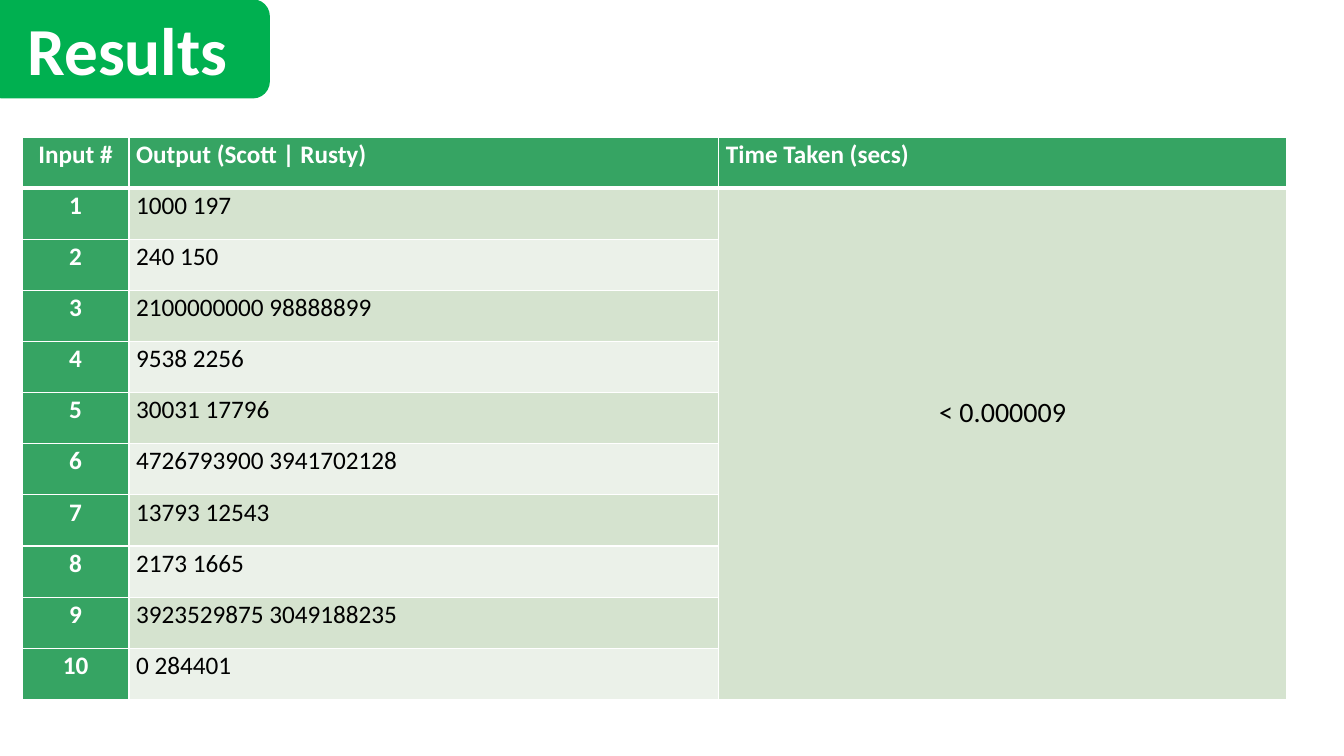
from lxml import etree
from pptx import Presentation
from pptx import util as u
from pptx.dml.color import RGBColor
from pptx.enum import shapes, text
from pptx.oxml.ns import qn

COLORS = {"white": "FFFFFF", "black": "000000", "title": "00B050",
          "header": "36A463", "dark_band": "D5E3CF", "light_band": "EBF1E9"}
HEADERS = ["Input #", "Output (Scott | Rusty)", "Time Taken (secs)"]
OUTPUTS = ["1000 197", "240 150", "2100000000 98888899", "9538 2256",
           "30031 17796", "4726793900 3941702128", "13793 12543",
           "2173 1665", "3923529875 3049188235", "0 284401"]
TIME_TAKEN = "< 0.000009"
COLUMN_WIDTHS = [1.06, 5.85, 5.63]


def rgb(name):
    return RGBColor.from_string(COLORS[name])


def write(tf, content, size=18, color="black", bold=False, align="LEFT", spacing=1.0):
    p = tf.paragraphs[0]
    p.alignment = getattr(text.PP_ALIGN, align)
    p.line_spacing = spacing
    r = p.add_run()
    r.text = content
    r.font.name = "Calibri"
    r.font.size = u.Pt(size)
    r.font.bold = bold
    r.font.color.rgb = rgb(color)


def set_borders(cell, **widths):
    """Draw white cell borders, 1 pt unless a side (L, R, T, B) is given a width."""
    tc_pr = cell._tc.get_or_add_tcPr()
    for i, side in enumerate("LRTB"):
        ln = etree.Element(qn("a:ln" + side), w=str(u.Pt(widths.get(side, 1))))
        fill = etree.SubElement(ln, qn("a:solidFill"))
        etree.SubElement(fill, qn("a:srgbClr"), val=COLORS["white"])
        tc_pr.insert(i, ln)


def add_title(slide, left, top, width, height):
    box = [u.Inches(v) for v in (left, top, width, height)]
    tab = slide.shapes.add_shape(shapes.MSO_SHAPE.ROUNDED_RECTANGLE, *box)
    tab.shadow.inherit = False
    tab.fill.solid()
    tab.fill.fore_color.rgb = rgb("title")
    tab.line.color.rgb = rgb("title")
    tab.line.width = u.Pt(1)

    title = slide.shapes.title
    title.left, title.top, title.width, title.height = box
    tab._element.addnext(title._element)
    tf = title.text_frame
    tf.word_wrap = True
    tf.auto_size = text.MSO_AUTO_SIZE.NONE
    tf.vertical_anchor = text.MSO_ANCHOR.MIDDLE
    write(tf, "Results", size=48, color="white", bold=True, align="CENTER")


def format_cell(cell, row, col):
    heading = row == 0 or col == 0
    band = "dark_band" if row % 2 else "light_band"
    cell.fill.solid()
    cell.fill.fore_color.rgb = rgb("header" if heading else band)
    cell.margin_left = cell.margin_right = u.Inches(0.07)
    cell.margin_top = cell.margin_bottom = 0
    set_borders(cell, **{0: {"B": 3}, 1: {"T": 3}}.get(row, {}))


def add_results_table(slide, left, top, width, height):
    rows = [HEADERS] + [[str(n), output, ""] for n, output in enumerate(OUTPUTS, 1)]
    rows[1][2] = TIME_TAKEN
    table = slide.shapes.add_table(len(rows), len(HEADERS), u.Inches(left), u.Inches(top),
                                   u.Inches(width), u.Inches(height)).table
    for column, column_width in zip(table.columns, COLUMN_WIDTHS):
        column.width = u.Inches(column_width)
    for i, values in enumerate(rows):
        for j, value in enumerate(values):
            cell = table.cell(i, j)
            format_cell(cell, i, j)
            if value:
                heading = i == 0 or j == 0
                is_time = value == TIME_TAKEN
                write(cell.text_frame, value, size=20 if is_time else 18,
                      color="white" if heading else "black", bold=heading,
                      align="CENTER" if j == 0 or is_time else "LEFT", spacing=1.07)
    time_cell = table.cell(1, 2)
    time_cell.merge(table.cell(len(OUTPUTS), 2))
    time_cell.vertical_anchor = text.MSO_ANCHOR.MIDDLE
    time_cell.margin_bottom = u.Inches(0.64)


def main():
    prs = Presentation()
    prs.slide_width, prs.slide_height = u.Inches(13.33), u.Inches(7.5)
    slide = prs.slides.add_slide(prs.slide_layouts[5])
    add_title(slide, -0.14, 0, 2.81, 0.97)
    add_results_table(slide, 0.22, 1.36, sum(COLUMN_WIDTHS), 5.58)
    prs.save("out.pptx")


if __name__ == "__main__":
    main()
